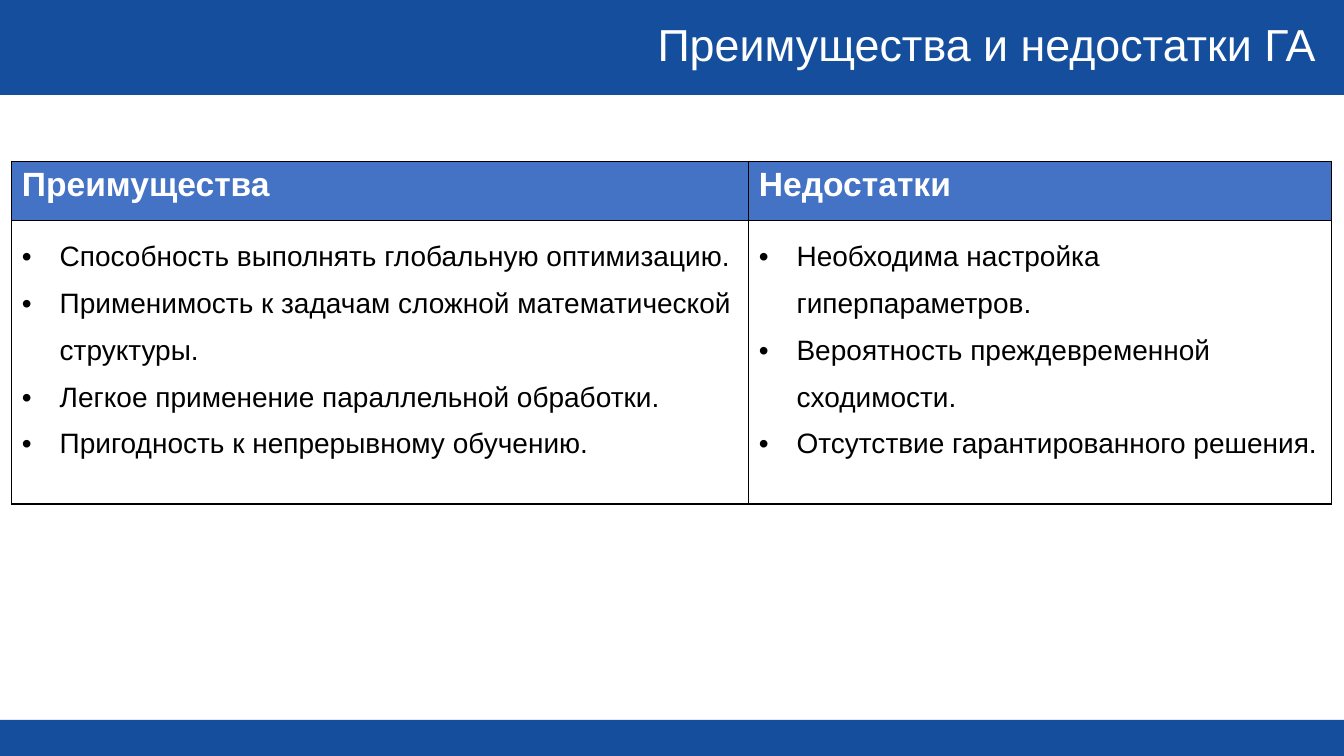
from dataclasses import dataclass

from lxml import etree
from pptx import Presentation
from pptx.dml.color import RGBColor
from pptx.enum.shapes import MSO_SHAPE
from pptx.enum.text import MSO_ANCHOR, PP_ALIGN
from pptx.oxml.ns import qn
from pptx.util import Cm, Pt

RECTANGLE = MSO_SHAPE.RECTANGLE
MIDDLE = MSO_ANCHOR.MIDDLE
LEFT, RIGHT, JUSTIFY = PP_ALIGN.LEFT, PP_ALIGN.RIGHT, PP_ALIGN.JUSTIFY


@dataclass(frozen=True)
class Theme:
    font: str = "Arial"
    band: str = "144E9D"
    header: str = "4472C4"
    light: str = "FFFFFF"
    dark: str = "000000"
    title_size: int = 32
    header_size: int = 24
    body_size: int = 20


THEME = Theme()
SLIDE_WIDTH, SLIDE_HEIGHT = Cm(33.87), Cm(19.05)
COLUMN_WIDTHS = (Cm(18.57), Cm(14.68))
ROW_HEIGHTS = (Cm(1.5), Cm(7.14))

# Each column: heading and its points with their alignment
COLUMNS = (
    ("Преимущества", (
        ("Способность выполнять глобальную оптимизацию.", JUSTIFY),
        ("Применимость к задачам сложной математической структуры.", LEFT),
        ("Легкое применение параллельной обработки.", LEFT),
        ("Пригодность к непрерывному обучению.", JUSTIFY),
    )),
    ("Недостатки", (
        ("Необходима настройка гиперпараметров.", LEFT),
        ("Вероятность преждевременной сходимости.", LEFT),
        ("Отсутствие гарантированного решения.", LEFT),
    )),
)


def add_band(slide, top, height):
    shape = slide.shapes.add_shape(RECTANGLE, 0, top, SLIDE_WIDTH, height)
    shape.shadow.inherit = False
    shape.fill.solid()
    shape.fill.fore_color.rgb = RGBColor.from_string(THEME.band)
    shape.line.fill.background()


def add_run(paragraph, text, size, color, bold=False):
    run = paragraph.add_run()
    run.text = text
    run.font.name = THEME.font
    run.font.size = Pt(size)
    run.font.bold = bold
    run.font.color.rgb = RGBColor.from_string(color)


def add_title(slide, text):
    box = slide.shapes.add_textbox(Cm(15.21), Cm(0.13), Cm(18.21), Cm(2.13))
    frame = box.text_frame
    frame.word_wrap = True
    frame.vertical_anchor = MIDDLE
    paragraph = frame.paragraphs[0]
    paragraph.alignment = RIGHT
    paragraph.line_spacing = 0.9
    add_run(paragraph, text, THEME.title_size, THEME.light)


def set_bullet(paragraph):
    properties = paragraph._p.get_or_add_pPr()
    indent = Cm(0.95)
    properties.set("marL", str(indent))
    properties.set("indent", str(-indent))
    etree.SubElement(properties, qn("a:buFont"), typeface=THEME.font)
    etree.SubElement(properties, qn("a:buChar"), char="•")


def style_cell(cell, fill):
    cell.fill.solid()
    cell.fill.fore_color.rgb = RGBColor.from_string(fill)
    properties = cell._tc.get_or_add_tcPr()
    # Borders stand before the fill
    for position, side in enumerate(("lnL", "lnR", "lnT", "lnB")):
        line = etree.Element(qn(f"a:{side}"), w=str(Pt(1)))
        solid = etree.SubElement(line, qn("a:solidFill"))
        etree.SubElement(solid, qn("a:srgbClr"), val=THEME.dark)
        properties.insert(position, line)


def fill_points(cell, points):
    frame = cell.text_frame
    for index, (text, alignment) in enumerate(points):
        paragraph = frame.add_paragraph() if index else frame.paragraphs[0]
        set_bullet(paragraph)
        paragraph.alignment = alignment
        paragraph.line_spacing = 1.5
        add_run(paragraph, text, THEME.body_size, THEME.dark)
    paragraph.space_after = Pt(8)


def add_comparison(slide, columns):
    frame = slide.shapes.add_table(
        len(ROW_HEIGHTS), len(columns), Cm(0.3), Cm(4.06),
        sum(COLUMN_WIDTHS), sum(ROW_HEIGHTS))
    table = frame.table
    for row, height in zip(table.rows, ROW_HEIGHTS):
        row.height = height
    for index, (heading, points) in enumerate(columns):
        table.columns[index].width = COLUMN_WIDTHS[index]
        header, body = table.cell(0, index), table.cell(1, index)
        style_cell(header, THEME.header)
        style_cell(body, THEME.light)
        add_run(header.text_frame.paragraphs[0], heading,
                THEME.header_size, THEME.light, bold=True)
        fill_points(body, points)


def main():
    presentation = Presentation()
    presentation.slide_width = SLIDE_WIDTH
    presentation.slide_height = SLIDE_HEIGHT
    slide = presentation.slides.add_slide(presentation.slide_layouts[6])

    # Top and bottom bands
    add_band(slide, 0, Cm(2.39))
    footer_height = Cm(0.91)
    add_band(slide, SLIDE_HEIGHT - footer_height, footer_height)

    # Title and table
    add_title(slide, "Преимущества и недостатки ГА")
    add_comparison(slide, COLUMNS)

    presentation.save("out.pptx")


if __name__ == "__main__":
    main()
